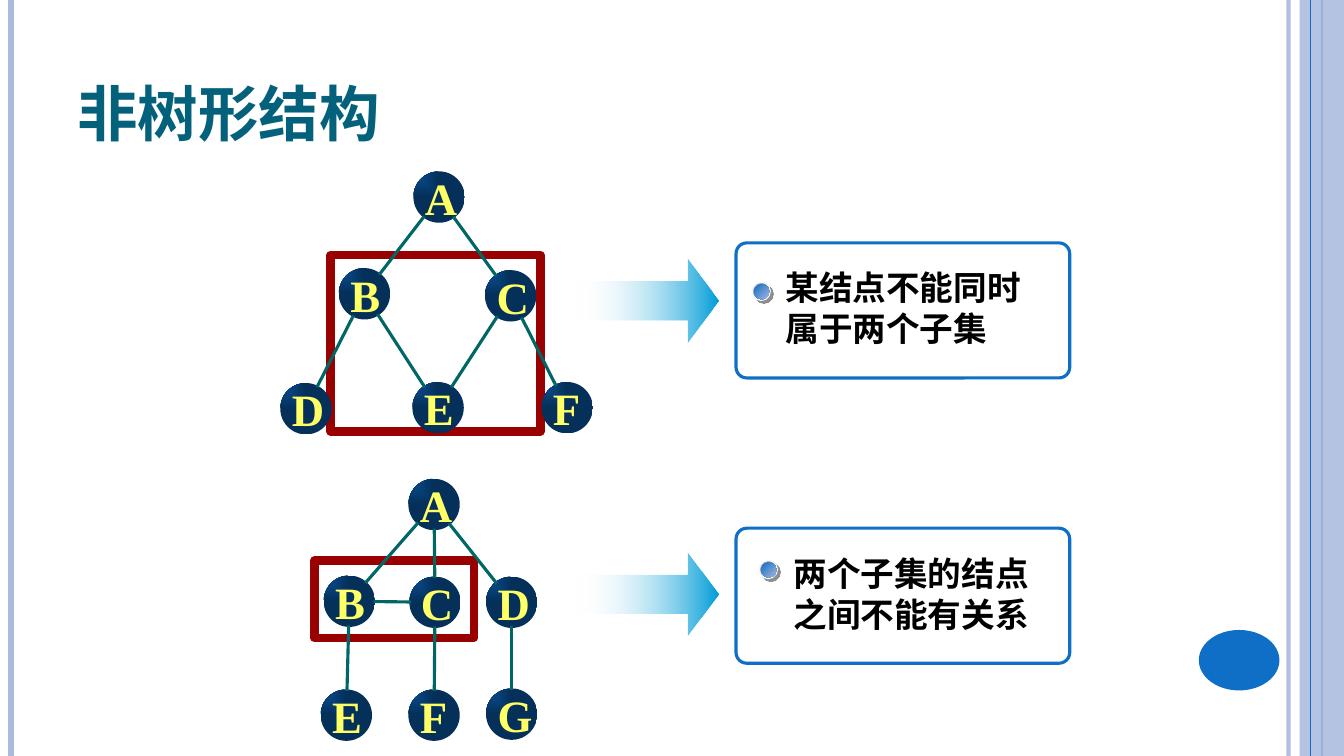
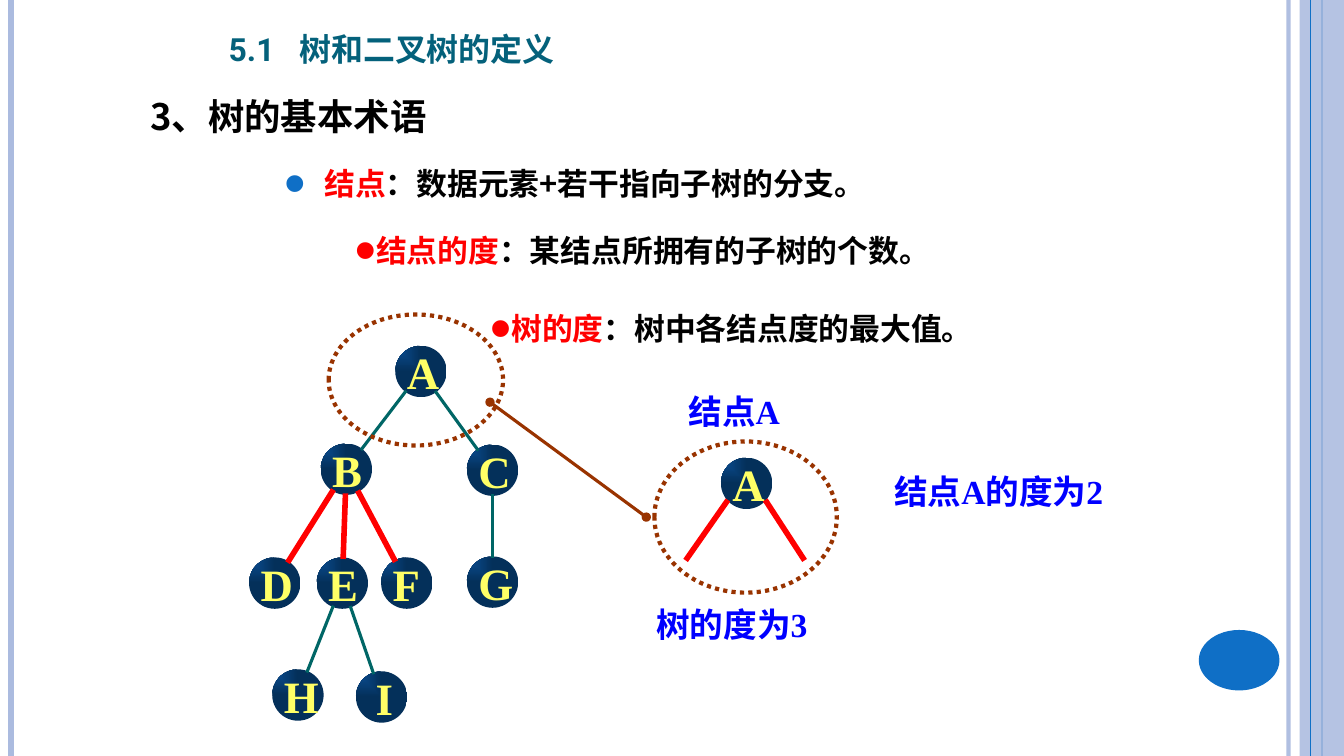
from math import hypot

from lxml.etree import SubElement
from pptx import Presentation
from pptx.dml.color import RGBColor
from pptx.enum.dml import MSO_LINE
from pptx.enum.shapes import MSO_CONNECTOR, MSO_SHAPE
from pptx.enum.text import MSO_ANCHOR, PP_ALIGN
from pptx.oxml.ns import qn
from pptx.util import Inches, Pt

COLORS = {
    "white": "FFFFFF", "black": "000000", "teal": "04617B", "blue": "0F6FC6",
    "band": "ABBBDF", "edge": "006666", "frame": "990000", "red": "FF0000",
    "brown": "993300", "label": "0000FF", "letter": "FFFF66",
    "node_light": "0B4F96", "node_dark": "04305A", "arrow": "009DD9",
    "rim_light": "C0C6D3", "rim_dark": "223864", "rim_line": "F8F8F8",
    "ball_light": "A5B6DD", "shadow": "1C1C1C",
}
SERIF, SANS = "Times New Roman", "Noto Sans CJK SC"
NODE = 0.51
TRIM = 0.24


def color(name):
    return RGBColor.from_string(COLORS[name])


def child(parent, tag, **attributes):
    return SubElement(parent, qn(tag), attributes)


def set_alpha(parent, percent):
    """Make the first colour found under an element partly transparent."""
    tone = next(parent.iter(qn("a:srgbClr")))
    child(tone, "a:alpha", val=str(percent * 1000))


def set_gradient(shape, start, end, angle=0):
    shape.fill.gradient()
    shape.fill.gradient_angle = angle
    for stop, name in zip(shape.fill.gradient_stops, (start, end)):
        stop.color.rgb = color(name)


def add_shape(page, kind, box, fill=None, line=None, width=1.0):
    shape = page.shapes.add_shape(kind, *map(Inches, box))
    shape.shadow.inherit = False
    if fill:
        shape.fill.solid()
        shape.fill.fore_color.rgb = color(fill)
    else:
        shape.fill.background()
    if line:
        shape.line.color.rgb = color(line)
        shape.line.width = Pt(width)
    else:
        shape.line.fill.background()
    return shape


def add_line(page, start, end, name, width):
    line = page.shapes.add_connector(
        MSO_CONNECTOR.STRAIGHT, *map(Inches, (*start, *end)))
    line.line.color.rgb = color(name)
    line.line.width = Pt(width)
    child(line._element.spPr, "a:effectLst")
    return line


def add_run(para, text, size, name, font):
    span = para.add_run()
    span.text = text
    span.font.size = Pt(size)
    span.font.bold = True
    span.font.color.rgb = color(name)
    span.font.name = font
    child(span._r.get_or_add_rPr(), "a:ea", typeface=SANS)
    return span


def add_text(page, box, spans, size, font, margins=(0.1, 0.05)):
    """Add a one-paragraph text box; spans are (text, colour) pairs."""
    frame = page.shapes.add_textbox(*map(Inches, box)).text_frame
    frame.word_wrap = True
    frame.margin_left = frame.margin_right = Inches(margins[0])
    frame.margin_top = frame.margin_bottom = Inches(margins[1])
    para = frame.paragraphs[0]
    for text, name in spans:
        add_run(para, text, size, name, font)
    return frame


def add_title(page, box, text, size, font, tab=None):
    frame = add_text(page, box, [(text, "teal")], size, font)
    frame.vertical_anchor = MSO_ANCHOR.BOTTOM
    para = frame.paragraphs[0]
    para.runs[0]._r.rPr.set("cap", "small")
    if tab:
        tabs = child(para._p.get_or_add_pPr(), "a:tabLst")
        child(tabs, "a:tab", pos=str(Inches(tab)), algn="l")


def add_term(page, box, term, meaning, indent=None, bullet=None):
    """Add a bulleted definition with its term in red."""
    spans = [(term, "red"), ("：" + meaning, "black")]
    para = add_text(page, box, spans, 22, SANS).paragraphs[0]
    props = para._p.get_or_add_pPr()
    if bullet:
        child(child(props, "a:buClr"), "a:srgbClr", val=COLORS[bullet])
    child(props, "a:buSzPct", val="200000")
    child(props, "a:buFont", typeface="Arial")
    child(props, "a:buChar", char="•")
    if indent:
        props.set("marL", str(Inches(indent[0])))
        props.set("indent", str(Inches(indent[1])))
        para.alignment = PP_ALIGN.JUSTIFY
        para.line_spacing = 1.1


def add_side_bands(page):
    def rule(x, name, width):
        return add_line(page, (x, 0), (x, 7.5), name, width)

    set_alpha(rule(12.78, "band", 3)._element.spPr, 93)
    rule(0.11, "band", 4.5)
    rule(13.11, "blue", 1.5)
    band = add_shape(page, MSO_SHAPE.RECTANGLE, (12.89, 0, 0.44, 7.5), "band")
    set_alpha(band._element.spPr, 87)
    rule(13, "blue", 0.75)
    add_shape(page, MSO_SHAPE.OVAL, (11.89, 6.25, 0.8, 0.6), "blue")


def add_node(page, left, top, letter):
    node = add_shape(page, MSO_SHAPE.OVAL, (left, top, NODE, NODE))
    set_gradient(node, "node_light", "node_dark")
    gradient = node._element.spPr.find(qn("a:gradFill"))
    gradient.remove(gradient.find(qn("a:lin")))
    corner = child(gradient, "a:path", path="rect")
    child(corner, "a:fillToRect", r="100000", b="100000")
    frame = node.text_frame
    frame.vertical_anchor = MSO_ANCHOR.TOP
    frame.margin_left = Inches(0.12 if letter == "I" else 0.04)
    frame.margin_right = frame.margin_bottom = Inches(0.04)
    frame.margin_top = Inches(0.02)
    para = frame.paragraphs[0]
    para.alignment = PP_ALIGN.LEFT
    para.line_spacing = 0.8
    add_run(para, letter, 32, "letter", SERIF)


def add_tree(page, left, top, nodes, edges, red_edges=""):
    """Draw nodes at offsets from a corner, joined by edges such as "AB"."""
    centers = {}
    for letter, (x, y) in nodes.items():
        add_node(page, left + x, top + y, letter)
        centers[letter] = (left + x + NODE / 2, top + y + NODE / 2)
    styles = (edges, "edge", 2.25), (red_edges, "red", 4)
    for pairs, name, width in styles:
        for first, second in pairs.split():
            (x1, y1), (x2, y2) = centers[first], centers[second]
            ratio = TRIM / hypot(x2 - x1, y2 - y1)
            dx, dy = (x2 - x1) * ratio, (y2 - y1) * ratio
            add_line(page, (x1 + dx, y1 + dy), (x2 - dx, y2 - dy), name, width)


def add_ball(page, left, top):
    rim = add_shape(page, MSO_SHAPE.OVAL, (left, top, 0.18, 0.18),
                    line="rim_line")
    set_gradient(rim, "rim_light", "rim_dark", 315)
    effects = rim._element.spPr.find(qn("a:effectLst"))
    shadow = child(effects, "a:outerShdw", blurRad="0", dist=str(Pt(2.8)),
                   dir="2700000", algn="ctr", rotWithShape="0")
    child(shadow, "a:srgbClr", val=COLORS["shadow"])
    set_alpha(shadow, 50)
    core = add_shape(page, MSO_SHAPE.OVAL, (left + 0.02, top + 0.02, 0.15, 0.15))
    set_gradient(core, "blue", "ball_light", 315)


def add_remark(page, top, text, text_box, ball, arrow_drop):
    """Draw an arrow and a rounded card; offsets count from the card corner."""
    left = 7.3
    arrow = add_shape(page, MSO_SHAPE.RIGHT_ARROW,
                      (left - 1.58, top + arrow_drop, 1.41, 0.83))
    arrow.adjustments[0], arrow.adjustments[1] = 0.465, 0.376
    set_gradient(arrow, "white", "arrow")
    set_alpha(arrow._element.spPr, 0)
    card = add_shape(page, MSO_SHAPE.ROUNDED_RECTANGLE, (left, top, 3.31, 1.34),
                     "white", "blue", 2.25)
    card.adjustments[0] = 0.08
    x, y, width, height = text_box
    add_text(page, (left + x, top + y, width, height), [(text, "black")],
             24, SERIF, (0.02, 0.01))
    add_ball(page, left + ball[0], top + ball[1])


def add_dotted_oval(page, box):
    oval = add_shape(page, MSO_SHAPE.OVAL, box, line="brown", width=3)
    oval.line.dash_style = MSO_LINE.ROUND_DOT


def add_degree_example(page, left, top):
    """Draw node A with its two branches, the dotted oval and its caption."""
    add_node(page, left + 0.66, top + 0.16, "A")
    for start, end in ((0.73, 0.31), (1.1, 1.49)):
        add_line(page, (left + start, top + 0.58), (left + end, top + 1.18),
                 "red", 4)
    add_dotted_oval(page, (left, top, 1.81, 1.5))
    captions = ((0.24, -0.55, 1.81, "结点A"), (2.28, 0.24, 3.07, "结点A的度为2"),
                (-0.08, 1.56, 2.99, "树的度为3"))
    for x, y, width, text in captions:
        add_text(page, (left + x, top + y, width, 0.5), [(text, "label")],
                 24, SERIF)


def build_non_tree_slide(page):
    add_side_bands(page)
    add_shape(page, MSO_SHAPE.RECTANGLE, (3.28, 2.53, 2.08, 1.75),
              line="frame", width=6)
    add_tree(page, 2.78, 1.7,
             {"A": (1.32, 0), "B": (0.58, 0.96), "C": (2.03, 0.98),
              "D": (0, 2.1), "E": (1.31, 2.09), "F": (2.59, 2.09)},
             "AB AC BD BE CE CF")
    add_remark(page, 2.41, "某结点不能同时属于两个子集",
               (0.47, 0.23, 2.52, 1.1), (0.16, 0.39), 0.16)
    add_remark(page, 5.24, "两个子集的结点之间不能有关系",
               (0.55, 0.24, 2.6, 0.95), (0.23, 0.32), 0.24)
    add_shape(page, MSO_SHAPE.RECTANGLE, (3.12, 5.56, 1.58, 0.77),
              line="frame", width=6)
    add_tree(page, 3.18, 4.75,
             {"A": (0.87, 0), "B": (0.03, 0.96), "C": (0.88, 0.97),
              "D": (1.64, 0.97), "E": (0, 2.09), "F": (0.87, 2.09),
              "G": (1.64, 2.08)},
             "AB AC AD BC BE CF DG")
    add_title(page, (0.67, 0.3, 4.64, 1.25), "非树形结构", 54, "Montserrat")


def build_terms_slide(page):
    add_side_bands(page)
    add_title(page, (2.17, 0.13, 5.37, 0.61), "5.1\t树和二叉树的定义",
              28.5, "Roboto", tab=0.7)
    heading = add_text(page, (1.39, 0.84, 10.55, 0.58),
                       [("3、树的基本术语", "black")], 26, SANS)
    heading.paragraphs[0].line_spacing = 1.1
    add_term(page, (2.63, 1.55, 9.08, 0.58), "结点",
             "数据元素+若干指向子树的分支。", (0.49, -0.4), "blue")
    add_term(page, (3.42, 2.25, 7.8, 0.47), "结点的度",
             "某结点所拥有的子树的个数。")
    add_term(page, (4.76, 3.02, 6.93, 0.47), "树的度",
             "树中各结点度的最大值。")
    add_tree(page, 2.47, 3.43,
             {"A": (1.45, 0), "B": (0.71, 0.97), "C": (2.16, 0.98),
              "D": (0, 2.1), "E": (0.67, 2.1), "F": (1.31, 2.1),
              "G": (2.16, 2.09), "H": (0.23, 3.21), "I": (1.06, 3.23)},
             "AB AC CG EH EI", "BD BE BF")
    add_dotted_oval(page, (3.26, 3.12, 1.73, 1.3))
    add_degree_example(page, 6.49, 4.38)
    link = add_line(page, (4.86, 3.99), (6.41, 5.13), "brown", 2.25)
    for end in ("a:headEnd", "a:tailEnd"):
        child(link.line._get_or_add_ln(), end, type="oval")


def main():
    deck = Presentation()
    deck.slide_width, deck.slide_height = Inches(13.33), Inches(7.5)
    for build in (build_non_tree_slide, build_terms_slide):
        build(deck.slides.add_slide(deck.slide_layouts[6]))
    deck.save("out.pptx")


if __name__ == "__main__":
    main()
